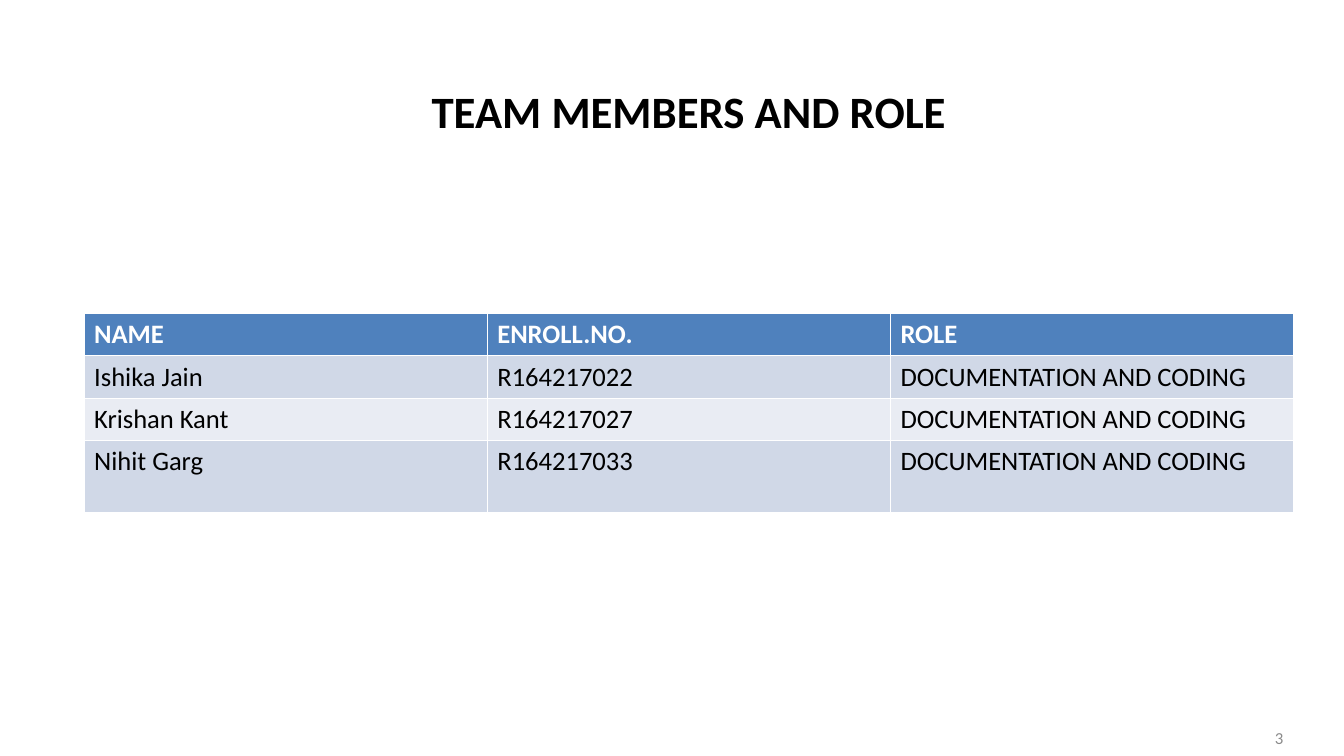
import pptx
import pptx.dml.color
import pptx.enum.text
import pptx.util

Cm = pptx.util.Cm
ALIGN = pptx.enum.text.PP_ALIGN
MIDDLE = pptx.enum.text.MSO_ANCHOR.MIDDLE

MEMBERS = [
    ("NAME", "ENROLL.NO.", "ROLE"),
    ("Ishika Jain", "R164217022", "DOCUMENTATION AND CODING"),
    ("Krishan Kant", "R164217027", "DOCUMENTATION AND CODING"),
    ("Nihit Garg", "R164217033", "DOCUMENTATION AND CODING"),
]
ROW_HEIGHTS = [0.94, 0.94, 0.94, 1.8]
HEADER_FILL = "4F81BD"
BAND_FILLS = ["E9ECF3", "D0D8E7"]


def color(hex_string):
    """Return the colour for a hex string."""
    return pptx.dml.color.RGBColor.from_string(hex_string)


def write_text(text_frame, text, size=19, hex_string="000000", bold=False, align=ALIGN.LEFT):
    """Write one formatted paragraph into a text frame."""
    text_frame.word_wrap = True
    paragraph = text_frame.paragraphs[0]
    paragraph.alignment = align
    run = paragraph.add_run()
    run.text = text
    run.font.name = "Calibri"
    run.font.size = pptx.util.Pt(size)
    run.font.bold = bold
    run.font.color.rgb = color(hex_string)


def add_title(slide, left, top, width, height):
    """Place the title placeholder in the given box."""
    title = slide.shapes.title
    title.left, title.top, title.width, title.height = map(Cm, (left, top, width, height))
    title.text_frame.vertical_anchor = MIDDLE
    write_text(title.text_frame, "TEAM MEMBERS AND ROLE", size=32, bold=True, align=ALIGN.CENTER)


def add_member_table(slide, left, top, width):
    """Place the table of members with equal columns and banded rows."""
    frame = slide.shapes.add_table(len(MEMBERS), len(MEMBERS[0]), Cm(left), Cm(top),
                                   Cm(width), Cm(sum(ROW_HEIGHTS)))
    table = frame.table
    for row_index, (member, height) in enumerate(zip(MEMBERS, ROW_HEIGHTS)):
        is_header = row_index == 0
        table.rows[row_index].height = Cm(height)
        for column_index, text in enumerate(member):
            cell = table.cell(row_index, column_index)
            cell.fill.solid()
            cell.fill.fore_color.rgb = color(HEADER_FILL if is_header else BAND_FILLS[row_index % 2])
            write_text(cell.text_frame, text, bold=is_header,
                       hex_string="FFFFFF" if is_header else "000000")


def add_page_number(slide, left, top, width, height):
    """Place the page number at the right of the given box."""
    text_frame = slide.shapes.add_textbox(Cm(left), Cm(top), Cm(width), Cm(height)).text_frame
    text_frame.vertical_anchor = MIDDLE
    write_text(text_frame, "3", size=12, hex_string="8B8B8B", align=ALIGN.RIGHT)


def main():
    """Build the team slide and save it."""
    presentation = pptx.Presentation()
    presentation.slide_width = Cm(33.87)
    presentation.slide_height = Cm(19.05)
    slide = presentation.slides.add_slide(presentation.slide_layouts[5])
    add_title(slide, 2.12, 1.2, 30.48, 3.18)
    add_member_table(slide, 2.12, 7.9, 30.48)
    add_page_number(slide, 24.69, 18.08, 7.9, 1.02)
    presentation.save("out.pptx")


if __name__ == "__main__":
    main()
